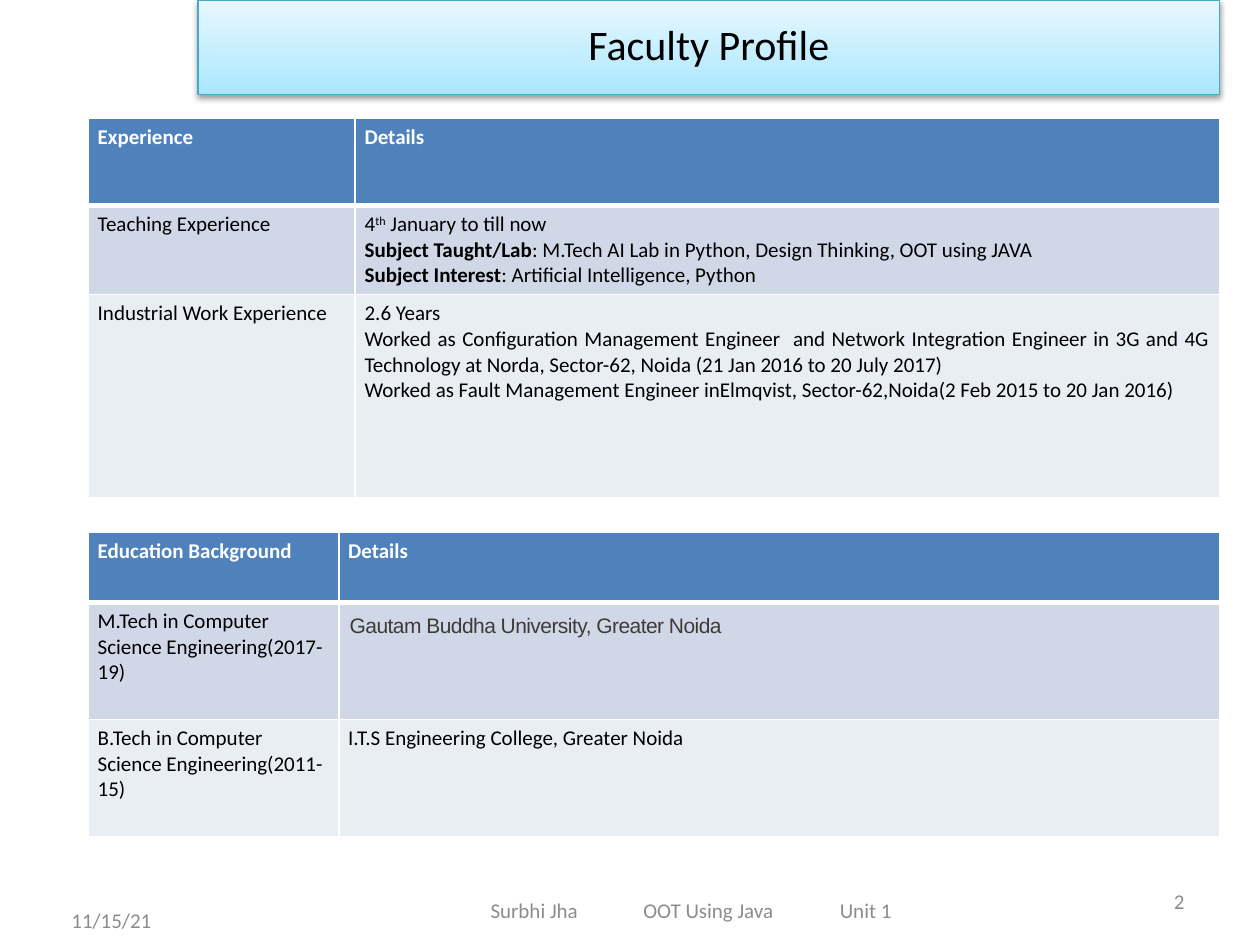
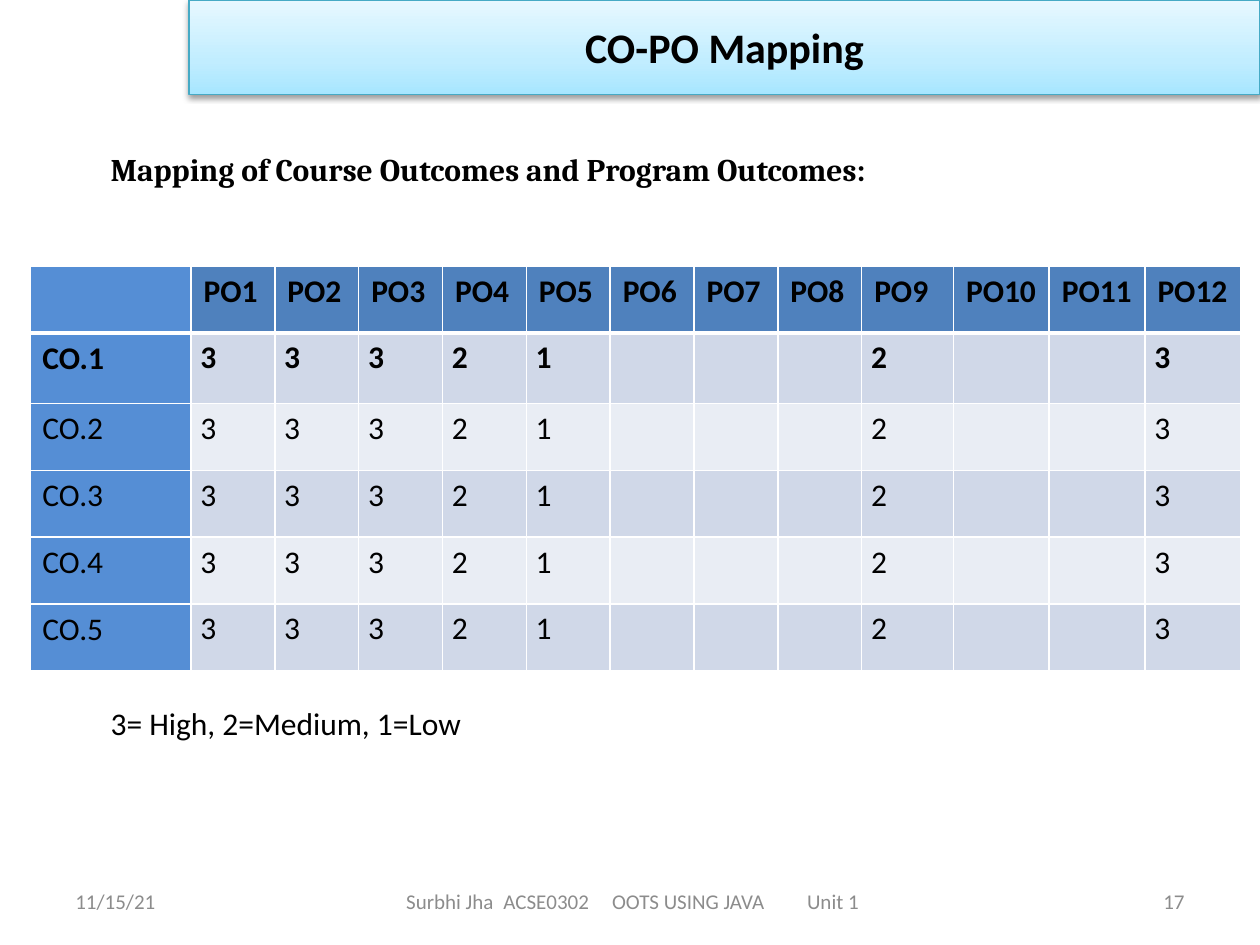
from pptx import Presentation
from pptx.dml.color import RGBColor
from pptx.enum.text import MSO_ANCHOR, MSO_AUTO_SIZE, PP_ALIGN
from pptx.oxml import parse_xml
from pptx.oxml.ns import nsdecls
from pptx.util import Cm, Pt

BLACK, WHITE, GREY = "000000", "FFFFFF", "8C8C8C"
HEADER, LABEL, BANDS = "4F81BD", "558ED5", ("D0D8E8", "E9EDF4")
color = RGBColor.from_string

GRADIENT = f"""<a:gradFill {nsdecls('a')} rotWithShape="1"><a:gsLst>
<a:gs pos="0"><a:srgbClr val="A7E6FF"/></a:gs>
<a:gs pos="35000"><a:srgbClr val="C1EDFF"/></a:gs>
<a:gs pos="100000"><a:srgbClr val="E7F8FF"/></a:gs>
</a:gsLst><a:lin ang="16200000" scaled="1"/></a:gradFill>"""
SHADOW = f"""<a:effectLst {nsdecls('a')}>
<a:outerShdw blurRad="40000" dist="20000" dir="5400000" rotWithShape="0">
<a:srgbClr val="000000"><a:alpha val="38000"/></a:srgbClr></a:outerShdw></a:effectLst>"""


def write(frame, lines, size, hex_color, bold=False):
    frame.word_wrap = True
    for number, line in enumerate(lines):
        paragraph = frame.add_paragraph() if number else frame.paragraphs[0]
        for part in [line] if isinstance(line, str) else line:
            run = paragraph.add_run()
            run.text = part
            run.font.name = "Calibri"
            run.font.size = Pt(size)
            run.font.bold = bold
            run.font.color.rgb = color(hex_color)


def add_grid(slide, left, top, widths, heights, rows, size, header_color):
    grid = slide.shapes.add_table(len(rows), len(widths), Cm(left), Cm(top),
                                  Cm(sum(widths)), Cm(sum(heights))).table
    for column, width in zip(grid.columns, widths):
        column.width = Cm(width)
    for r, (row, height) in enumerate(zip(rows, heights)):
        grid.rows[r].height = Cm(height)
        for c, content in enumerate(row):
            cell = grid.cell(r, c)
            for side in "LRTB":
                thick = (r, side) in ((0, "B"), (1, "T"))
                cell._tc.get_or_add_tcPr().append(parse_xml(
                    f'<a:ln{side} {nsdecls("a")} w="{38100 if thick else 12700}">'
                    f'<a:solidFill><a:srgbClr val="{WHITE}"/></a:solidFill></a:ln{side}>'))
            cell.fill.solid()
            cell.fill.fore_color.rgb = color(BANDS[(r - 1) % 2] if r else HEADER)
            if content:
                lines = [content] if isinstance(content, str) else content
                write(cell.text_frame, lines, size, BLACK if r else header_color, r == 0)
    return grid


prs = Presentation()
prs.slide_width, prs.slide_height = Cm(25.4), Cm(19.05)

pages = [
    dict(title="Faculty Profile", band=(3.99, 20.6), bold=False, spacing=0.9,
         date=(1.19, 18.03), number="2", course=(13.97, 1.4), inset=2.9,
         tabs=(3.08, 7.04), parts=("Surbhi Jha", "OOT Using Java", "Unit 1")),
    dict(title="CO-PO Mapping", band=(3.81, 21.59), bold=True, spacing=1.0,
         date=(1.27, 17.65), number="17", course=(11.63, 1.02), inset=1.2,
         tabs=(1.96, 4.15, 8.08),
         parts=("Surbhi Jha", "ACSE0302", "OOTS USING JAVA", "Unit 1")),
]

for page in pages:
    slide = prs.slides.add_slide(prs.slide_layouts[5])
    band = slide.shapes.title
    left, width = page["band"]
    band.left, band.top, band.width, band.height = Cm(left), Cm(0), Cm(width), Cm(1.9)
    band._element.spPr.append(parse_xml(GRADIENT))
    band._element.spPr.append(parse_xml(SHADOW))
    band.line.color.rgb = color("46AAC5")
    band.line.width = Pt(0.75)
    write(band.text_frame, [page["title"]], 24, BLACK, page["bold"])
    band.text_frame.auto_size = MSO_AUTO_SIZE.NONE
    band.text_frame.vertical_anchor = MSO_ANCHOR.MIDDLE
    band.text_frame.paragraphs[0].alignment = PP_ALIGN.CENTER
    band.text_frame.paragraphs[0].line_spacing = page["spacing"]

    footers = [
        ("11/15/21", *page["date"], 5.92, 1.02, PP_ALIGN.LEFT),
        ("\t".join(page["parts"]), 6.99, 17.65, *page["course"], PP_ALIGN.LEFT),
        (page["number"], 18.21, 17.65, 5.92, 1.02, PP_ALIGN.RIGHT),
    ]
    for text, left, top, width, height, alignment in footers:
        footer = slide.shapes.add_textbox(Cm(left), Cm(top), Cm(width), Cm(height)).text_frame
        footer.vertical_anchor = MSO_ANCHOR.MIDDLE
        paragraph = footer.paragraphs[0]
        paragraph.alignment = alignment
        if "\t" in text:
            footer.margin_left = Cm(page["inset"])
            stops = "".join(f'<a:tab pos="{Cm(stop)}" algn="l"/>' for stop in page["tabs"])
            paragraph._p.get_or_add_pPr().append(
                parse_xml(f'<a:tabLst {nsdecls("a")}>{stops}</a:tabLst>'))
        write(footer, [text], 12, GREY)

profile, mapping = prs.slides

experience = add_grid(profile, 1.78, 2.39, (5.38, 17.42), (1.75, 1.8, 4.09), [
    ("Experience", "Details"),
    ("Teaching Experience", [
        ("4", "th", " January to till now"),
        ("Subject Taught/Lab", ": M.Tech AI Lab in Python, Design Thinking, OOT using JAVA"),
        ("Subject Interest", ": Artificial Intelligence, Python")]),
    ("Industrial Work Experience", [
        "2.6 Years",
        "Worked as Configuration Management Engineer  and Network Integration Engineer in "
        "3G and 4G Technology at Norda, Sector-62, Noida (21 Jan 2016 to 20 July 2017)",
        "Worked as Fault Management Engineer inElmqvist, Sector-62,Noida"
        "(2 Feb 2015 to 20 Jan 2016)"]),
], 12, WHITE)
education = add_grid(profile, 1.78, 10.72, (5.05, 17.75), (1.42, 2.36, 2.36), [
    ("Education Background", "Details"),
    ("M.Tech in Computer Science Engineering(2017-19)",
     "Gautam Buddha University, Greater Noida"),
    ("B.Tech in Computer Science Engineering(2011-15)",
     "I.T.S Engineering College, Greater Noida"),
], 12, WHITE)
for grid in (experience, education):
    for cell in grid.iter_cells():
        cell.margin_left = cell.margin_right = Cm(0.19)

since, taught, interest = experience.cell(1, 1).text_frame.paragraphs
since.runs[1]._r.get_or_add_rPr().set("baseline", "30000")
for paragraph in (taught, interest):
    paragraph.runs[0].font.bold = True
for paragraph in experience.cell(2, 1).text_frame.paragraphs[1:]:
    paragraph.alignment = PP_ALIGN.JUSTIFY

university = education.cell(1, 1)
university.margin_left = Cm(0.22)
university.margin_right = university.margin_top = university.margin_bottom = 0
university_line = university.text_frame.paragraphs[0]
university_line.line_spacing = 1.5
university_name = university_line.runs[0]
university_name.font.name = "Arial"
university_name.font.color.rgb = color("3F3A38")
university_name._r.get_or_add_rPr().set("spc", "-30")

heading = mapping.shapes.add_textbox(Cm(1.98), Cm(2.9), Cm(22.23), Cm(1.02)).text_frame
heading.vertical_anchor = MSO_ANCHOR.MIDDLE
write(heading, [("Mapping of Course Outcomes and Program Outcomes", ":")], 18, BLACK, True)
heading.paragraphs[0].runs[0].font.name = "Cambria"
legend = mapping.shapes.add_textbox(Cm(1.98), Cm(14.07), Cm(12.78), Cm(1.02)).text_frame
write(legend, ["3= High, 2=Medium, 1=Low"], 18, BLACK)

levels = ["3", "3", "3", "2", "1", "", "", "", "2", "", "", "3"]
outcomes = [[""] + [f"PO{n}" for n in range(1, 13)]]
outcomes += [[f"CO.{n}"] + levels for n in range(1, 6)]
matrix = add_grid(mapping, 0.6, 5.36, [3.25] + [1.69] * 8 + [1.85] + [1.93] * 3,
                  [1.35, 1.42] + [1.35] * 4, outcomes, 18, BLACK)
for r in range(6):
    matrix.cell(r, 0).fill.fore_color.rgb = color(LABEL)
    for c in range(13):
        cell = matrix.cell(r, c)
        paragraph = cell.text_frame.paragraphs[0]
        if r == 1:
            for run in paragraph.runs:
                run.font.bold = True
        if r and c:
            cell.margin_left = cell.margin_right = Cm(0.19)
            cell.margin_top = cell.margin_bottom = 0
            paragraph.line_spacing = 1.15

prs.save("out.pptx")
